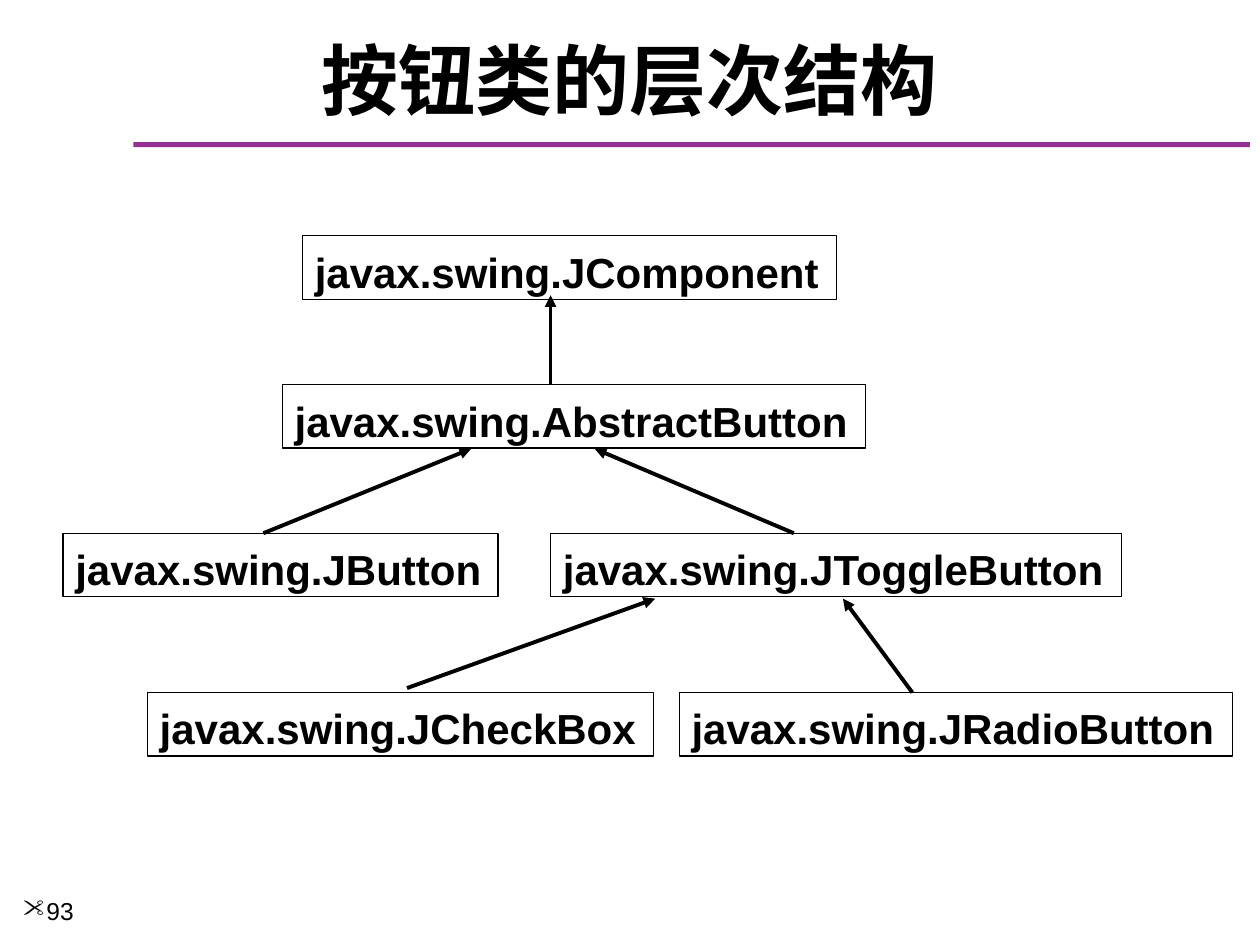
from lxml import etree
from pptx import Presentation
from pptx.dml.color import RGBColor
from pptx.enum.shapes import MSO_CONNECTOR, MSO_SHAPE
from pptx.enum.text import MSO_ANCHOR, PP_ALIGN
from pptx.oxml.ns import qn
from pptx.util import Pt

RECTANGLE = MSO_SHAPE.RECTANGLE
STRAIGHT = MSO_CONNECTOR.STRAIGHT
TOP, MIDDLE = MSO_ANCHOR.TOP, MSO_ANCHOR.MIDDLE
LEFT, CENTER = PP_ALIGN.LEFT, PP_ALIGN.CENTER

COLORS = {"ink": "000000", "rule": "973095"}
CLASS_HEIGHT = 36.3

# Class name: left and top within the diagram, width
CLASSES = {
    "JComponent": (136.8, 0, 305.3),
    "AbstractButton": (125.3, 85, 333.4),
    "JButton": (0, 170, 248.6),
    "JToggleButton": (278.6, 170, 326.2),
    "JCheckBox": (48.2, 261, 289.4),
    "JRadioButton": (352.1, 261, 316.1),
}

# Subclass end and superclass end of each arrow, within the diagram
ARROWS = [
    ((278.6, 85), (278.6, 34)),
    ((114.5, 170), (233.3, 121.7)),
    ((417.6, 170), (303.8, 121.7)),
    ((485.3, 261), (445.7, 207.4)),
    ((196.6, 258.5), (338.4, 207.4)),
]


def color(name):
    return RGBColor.from_string(COLORS[name])


def write(shape, text, size, font, bold=False, align=LEFT, anchor=TOP):
    frame = shape.text_frame
    frame.word_wrap = True
    frame.vertical_anchor = anchor
    paragraph = frame.paragraphs[0]
    paragraph.text = text
    paragraph.alignment = align
    paragraph.font.size = Pt(size)
    paragraph.font.name = font
    paragraph.font.bold = bold
    paragraph.font.color.rgb = color("ink")


def add_title(slide, left, top, width, height):
    title = slide.shapes.add_textbox(Pt(left), Pt(top), Pt(width), Pt(height))
    write(title, "按钮类的层次结构", 44, "Times New Roman", True, CENTER, MIDDLE)


def add_rule(slide, left, top, width, height):
    rule = slide.shapes.add_shape(RECTANGLE, Pt(left), Pt(top), Pt(width), Pt(height))
    rule.shadow.inherit = False
    rule.fill.solid()
    rule.fill.fore_color.rgb = color("rule")
    rule.line.fill.background()


def add_page_number(slide, left, top, width, height):
    number = slide.shapes.add_textbox(Pt(left), Pt(top), Pt(width), Pt(height))
    # Scissors bullet from the symbol font
    properties = number.text_frame.paragraphs[0]._p.get_or_add_pPr()
    etree.SubElement(properties, qn("a:buFont"), typeface="Wingdings",
                     pitchFamily="2", charset="2")
    etree.SubElement(properties, qn("a:buChar"), char='"')
    write(number, "93", 14, "Arial")


def add_class(slide, name, left, top, width):
    box = slide.shapes.add_shape(RECTANGLE, Pt(left), Pt(top), Pt(width), Pt(CLASS_HEIGHT))
    box.shadow.inherit = False
    box.fill.background()
    box.line.color.rgb = color("ink")
    box.line.width = Pt(0.75)
    write(box, f"javax.swing.{name}", 24, "Arial", True)
    box.text_frame.margin_top = Pt(6)
    box.text_frame.margin_bottom = 0


def add_arrow(slide, start_x, start_y, end_x, end_y):
    arrow = slide.shapes.add_connector(STRAIGHT, Pt(start_x), Pt(start_y), Pt(end_x), Pt(end_y))
    arrow.line.color.rgb = color("ink")
    arrow.line.width = Pt(2.25)
    etree.SubElement(arrow.line._get_or_add_ln(), qn("a:tailEnd"), type="triangle")
    etree.SubElement(arrow._element.spPr, qn("a:effectLst"))


def add_hierarchy(slide, left, top):
    for name, (x, y, width) in CLASSES.items():
        add_class(slide, name, left + x, top + y, width)
    for (start_x, start_y), (end_x, end_y) in ARROWS:
        add_arrow(slide, left + start_x, top + start_y, left + end_x, top + end_y)


def main():
    presentation = Presentation()
    presentation.slide_width, presentation.slide_height = Pt(720), Pt(540)
    slide = presentation.slides.add_slide(presentation.slide_layouts[6])
    add_rule(slide, 76.3, 81.2, 637.9, 2.9)
    add_title(slide, 12, 18, 696, 54)
    add_page_number(slide, 6, 508.5, 78, 31.5)
    add_hierarchy(slide, 36, 134.7)
    presentation.save("out.pptx")


if __name__ == "__main__":
    main()
